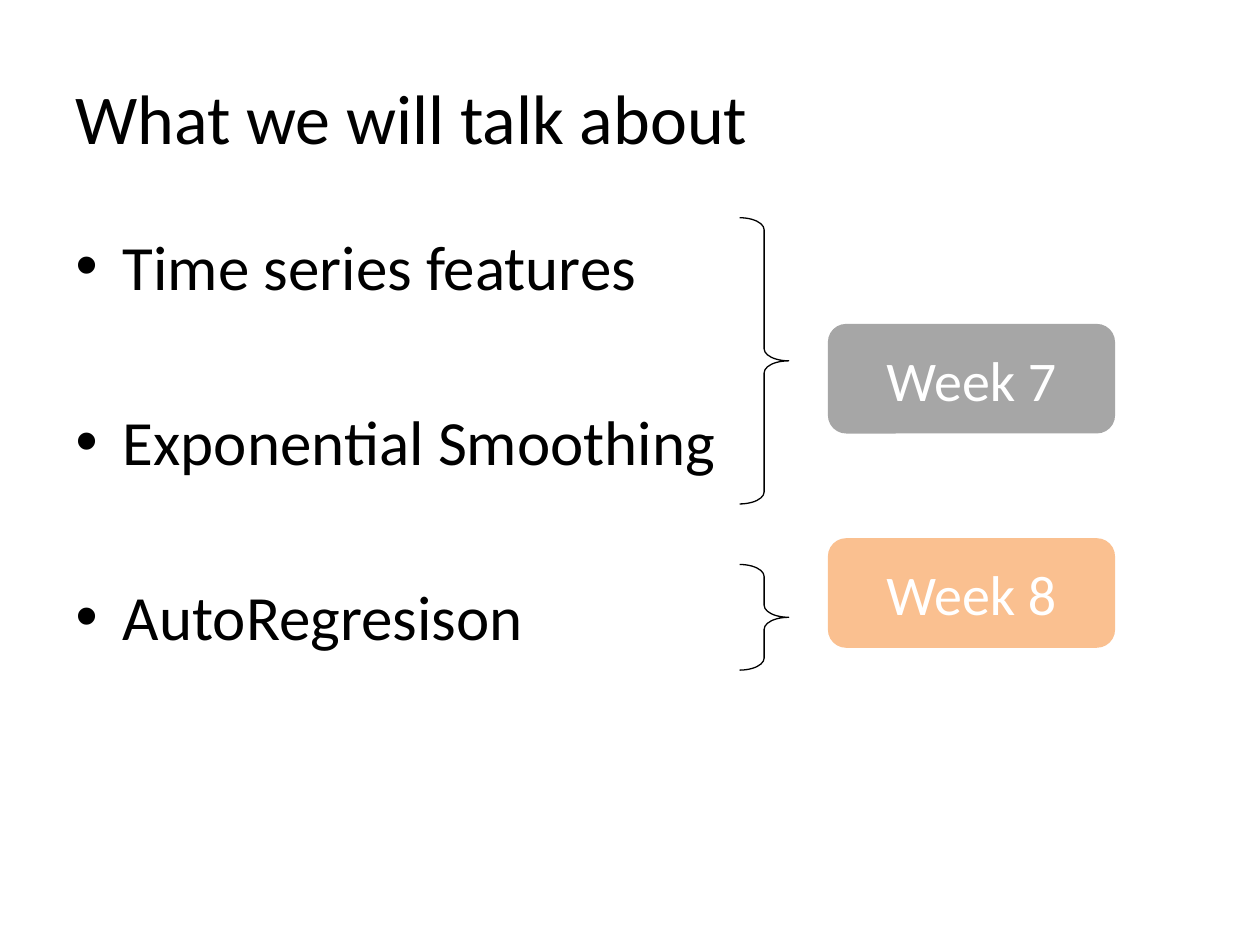
from pptx import Presentation
from pptx.dml.color import RGBColor
from pptx.enum.shapes import MSO_SHAPE
from pptx.enum.text import MSO_ANCHOR, MSO_AUTO_SIZE, PP_ALIGN
from pptx.util import Cm, Pt

BRACE = MSO_SHAPE.RIGHT_BRACE
ROUNDED = MSO_SHAPE.ROUNDED_RECTANGLE
MIDDLE = MSO_ANCHOR.MIDDLE
NO_AUTOFIT = MSO_AUTO_SIZE.NONE
LEFT, CENTER = PP_ALIGN.LEFT, PP_ALIGN.CENTER

COLORS = {
    "ink": "000000",
    "label": "FFFFFF",
    "week 7": "A6A6A6",
    "week 8": "FAC090",
}


class TopicSlide:
    """Holds the style and the slide that is being filled."""

    font_name = "Calibri"

    def __init__(self, deck):
        self.slide = deck.slides.add_slide(deck.slide_layouts[1])

    def color(self, name):
        return RGBColor.from_string(COLORS[name])

    def place(self, shape, left, top, width, height):
        shape.left, shape.top = Cm(left), Cm(top)
        shape.width, shape.height = Cm(width), Cm(height)

    def format_para(self, para, size, color, align):
        para.alignment = align
        for span in para.runs:
            span.font.name = self.font_name
            span.font.size = Pt(size)
            span.font.color.rgb = self.color(color)

    def title(self, text, *place):
        box = self.slide.shapes.title
        self.place(box, *place)
        frame = box.text_frame
        frame.text = text
        frame.auto_size = NO_AUTOFIT
        frame.vertical_anchor = MIDDLE
        self.format_para(frame.paragraphs[0], 40, "ink", LEFT)

    def bullets(self, items, gap, *place):
        box = self.slide.placeholders[1]
        self.place(box, *place)
        frame = box.text_frame
        frame.text = "\n".join(items)
        frame.auto_size = NO_AUTOFIT
        for para in frame.paragraphs:
            self.format_para(para, 36, "ink", LEFT)
        for para in frame.paragraphs[1:]:
            para.space_before = Pt(gap)

    def shape(self, kind, left, top, width, height):
        shape = self.slide.shapes.add_shape(
            kind, Cm(left), Cm(top), Cm(width), Cm(height))
        shape.shadow.inherit = False
        return shape

    def brace(self, *place):
        brace = self.shape(BRACE, *place)
        brace.adjustments[0] = 0.245
        brace.adjustments[1] = 0.5
        brace.fill.background()
        brace.line.color.rgb = self.color("ink")
        brace.line.width = Pt(0.75)

    def week(self, text, fill, *place):
        box = self.shape(ROUNDED, *place)
        box.fill.solid()
        box.fill.fore_color.rgb = self.color(fill)
        box.line.fill.background()
        frame = box.text_frame
        frame.text = text
        frame.vertical_anchor = MIDDLE
        self.format_para(frame.paragraphs[0], 32, "label", CENTER)


def main():
    deck = Presentation()
    deck.slide_width, deck.slide_height = Cm(25.4), Cm(19.05)
    page = TopicSlide(deck)

    page.title("What we will talk about", 1.27, 0.76, 22.86, 3.18)
    topics = ["Time series features", "Exponential Smoothing", "AutoRegresison"]
    page.bullets(topics, 57, 1.27, 4.45, 22.86, 12.57)

    for top, height in [(4.39, 5.77), (11.38, 2.13)]:
        page.brace(14.91, top, 0.99, height)
    for text, fill, top in [("Week 7", "week 7", 6.53), ("Week 8", "week 8", 10.85)]:
        page.week(text, fill, 16.69, top, 5.79, 2.21)

    deck.save("out.pptx")


if __name__ == "__main__":
    main()
